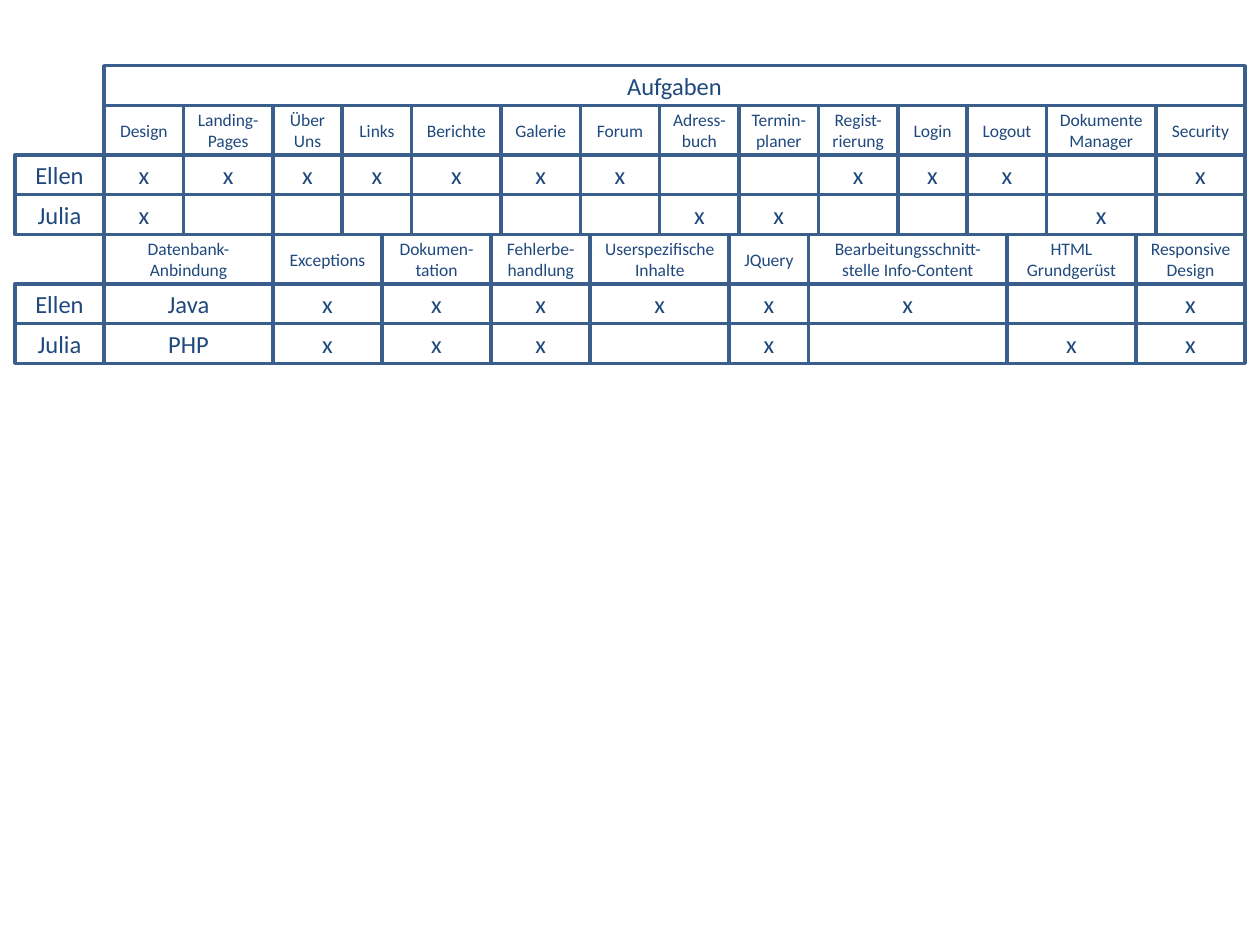
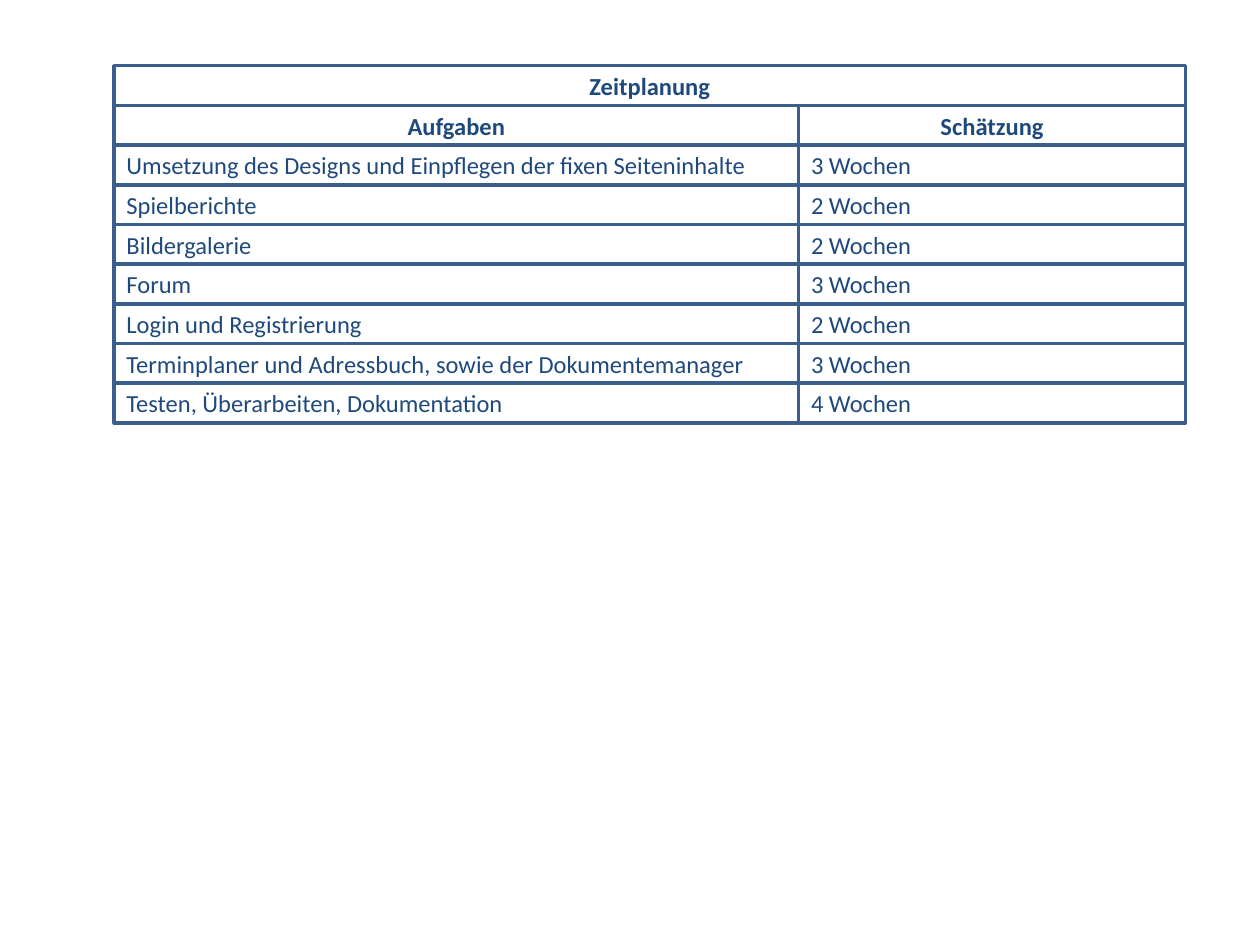
import itertools

import pptx
import pptx.dml.color
import pptx.enum.shapes
import pptx.enum.text
import pptx.util

COLOURS = {"line": "3A5F8C", "text": "1F497D"}
FONT = "Calibri"
GRID = pptx.util.Mm(2)
TOP = 6.63
ROW = 4
HEADER_ROW = 5
BODY_SIZE = 14
HEADER_SIZE = 10
LEFT = pptx.enum.text.PP_ALIGN.LEFT
CENTRE = pptx.enum.text.PP_ALIGN.CENTER

NAME_LEFT = 1.5
NAME_WIDTH = 9
TASKS_LEFT = NAME_LEFT + NAME_WIDTH
PLAN_LEFT = 11.5
PLAN_WIDTHS = [69, 39]

TASK_BLOCKS = [
    {
        "tasks": {
            "Design": 8, "Landing-Pages": 9, "Über Uns": 7, "Links": 7,
            "Berichte": 9, "Galerie": 8, "Forum": 8, "Adress-buch": 8,
            "Termin-planer": 8, "Regist-rierung": 8, "Login": 7,
            "Logout": 8, "Dokumente Manager": 11, "Security": 9,
        },
        "people": {
            "Ellen": list("xxxxxxx  xxx x"),
            "Julia": list("x      xx   x "),
        },
    },
    {
        "tasks": {
            "Datenbank-Anbindung": 17, "Exceptions": 11,
            "Dokumen-tation": 11, "Fehlerbe-handlung": 10,
            "Userspezifische Inhalte": 14, "JQuery": 8,
            "Bearbeitungsschnitt-stelle Info-Content": 20,
            "HTML Grundgerüst": 13, "Responsive Design": 11,
        },
        "people": {
            "Ellen": ["Java", *"xxxxxx x"],
            "Julia": ["PHP", *"xxx x xx"],
        },
    },
]

SCHEDULE = [
    ("Umsetzung des Designs und Einpflegen der fixen Seiteninhalte", 3),
    ("Spielberichte", 2),
    ("Bildergalerie", 2),
    ("Forum", 3),
    ("Login und Registrierung", 2),
    ("Terminplaner und Adressbuch, sowie der Dokumentemanager", 3),
    ("Testen, Überarbeiten, Dokumentation", 4),
]


def colour(name):
    return pptx.dml.color.RGBColor.from_string(COLOURS[name])


def add_cell(page, column, row, width, height, text, size, align, bold):
    box = page.shapes.add_shape(
        pptx.enum.shapes.MSO_SHAPE.RECTANGLE,
        *(round(length * GRID) for length in (column, row, width, height)),
    )
    box.shadow.inherit = False
    box.fill.background()
    box.line.color.rgb = colour("line")
    box.line.width = pptx.util.Pt(2)
    if not text.strip():
        return
    frame = box.text_frame
    frame.text = text
    frame.word_wrap = True
    frame.vertical_anchor = pptx.enum.text.MSO_ANCHOR.MIDDLE
    para = frame.paragraphs[0]
    para.alignment = align
    for span in para.runs:
        span.font.name = FONT
        span.font.size = pptx.util.Pt(size)
        span.font.bold = bold
        span.font.color.rgb = colour("text")


def add_row(page, left, row, widths, texts, height=ROW, size=BODY_SIZE,
            align=CENTRE, bold=False):
    columns = itertools.accumulate(widths, initial=left)
    for column, width, text in zip(columns, widths, texts):
        add_cell(page, column, row, width, height, text, size, align, bold)
    return row + height


def add_task_block(page, row, tasks, people):
    widths = list(tasks.values())
    row = add_row(page, TASKS_LEFT, row, widths, tasks,
                  height=HEADER_ROW, size=HEADER_SIZE)
    for person, marks in people.items():
        row = add_row(page, NAME_LEFT, row, [NAME_WIDTH, *widths],
                      [person, *marks])
    return row


def build_tasks(page):
    total = sum(TASK_BLOCKS[0]["tasks"].values())
    row = add_row(page, TASKS_LEFT, TOP, [total], ["Aufgaben"])
    for block in TASK_BLOCKS:
        row = add_task_block(page, row, **block)


def build_schedule(page):
    row = add_row(page, PLAN_LEFT, TOP, [sum(PLAN_WIDTHS)],
                  ["Zeitplanung"], bold=True)
    row = add_row(page, PLAN_LEFT, row, PLAN_WIDTHS,
                  ["Aufgaben", "Schätzung"], bold=True)
    for task, weeks in SCHEDULE:
        row = add_row(page, PLAN_LEFT, row, PLAN_WIDTHS,
                      [task, f"{weeks} Wochen"], align=LEFT)


def main():
    deck = pptx.Presentation()
    deck.slide_width = pptx.util.Inches(10)
    deck.slide_height = pptx.util.Inches(7.5)
    for build in (build_tasks, build_schedule):
        build(deck.slides.add_slide(deck.slide_layouts[6]))
    deck.save("out.pptx")


if __name__ == "__main__":
    main()
